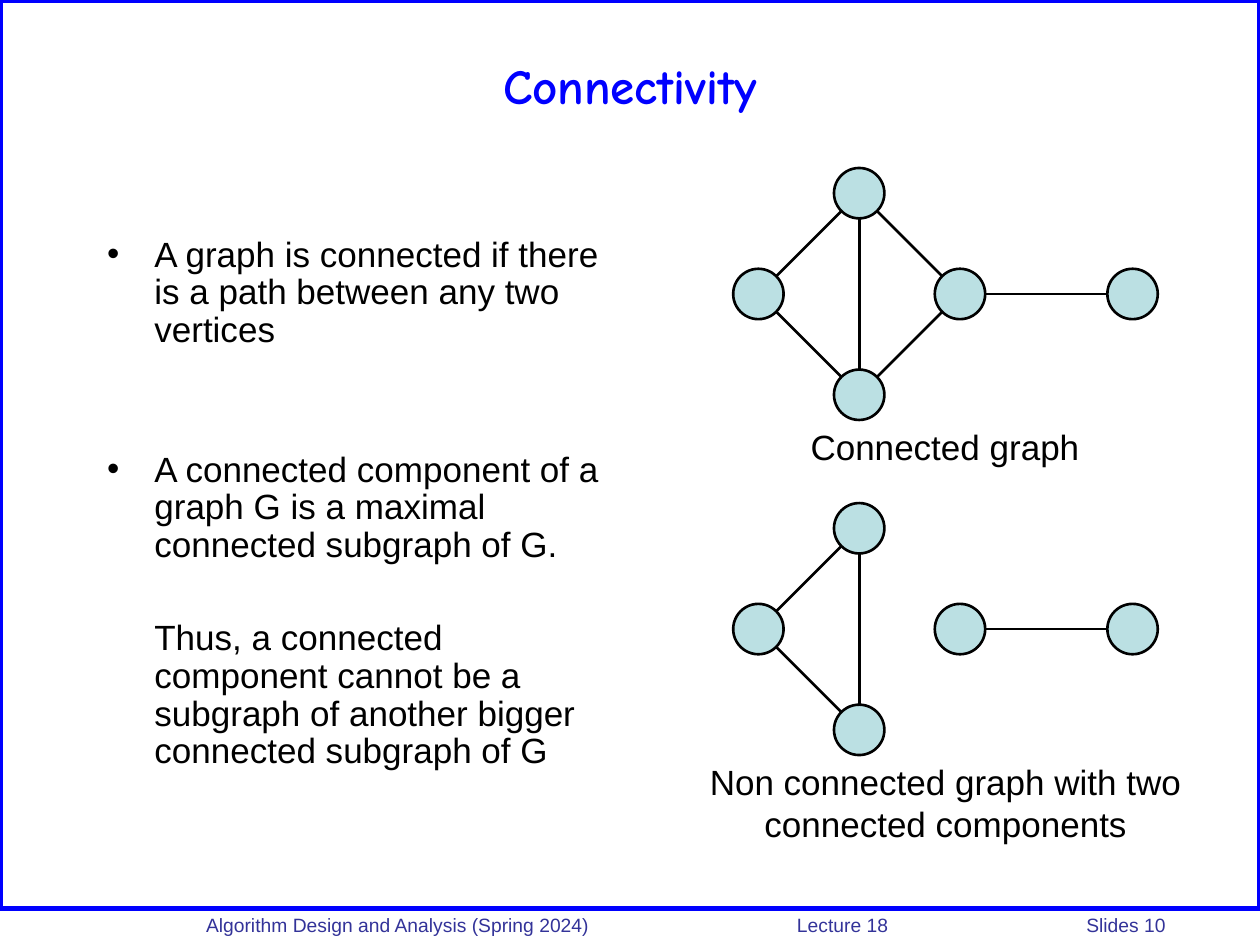
from math import hypot

from lxml import etree
from pptx import Presentation
from pptx.dml.color import RGBColor
from pptx.enum.shapes import MSO_CONNECTOR, MSO_SHAPE
from pptx.enum.text import MSO_ANCHOR, MSO_AUTO_SIZE, PP_ALIGN
from pptx.oxml.ns import qn
from pptx.util import Pt

BLUE = RGBColor(0x00, 0x00, 0xFF)
NAVY = RGBColor(0x33, 0x33, 0x99)
BLACK = RGBColor(0x00, 0x00, 0x00)
TEAL = RGBColor(0xBB, 0xE0, 0xE3)

RECTANGLE, ELLIPSE = MSO_SHAPE.RECTANGLE, MSO_SHAPE.OVAL
STRAIGHT = MSO_CONNECTOR.STRAIGHT
CENTER = PP_ALIGN.CENTER
MIDDLE, TOP = MSO_ANCHOR.MIDDLE, MSO_ANCHOR.TOP
NO_AUTOFIT = MSO_AUTO_SIZE.NONE

RADIUS = 14.4
STEP = 57.6
NODES = {
    "right": (STEP, 0),
    "left": (-STEP, 0),
    "top": (0, -STEP),
    "bottom": (0, STEP),
    "far": (156.2, 0),
}
SPLIT_EDGES = [("top", "left"), ("bottom", "left"), ("top", "bottom"),
               ("right", "far")]
CONNECTED_EDGES = SPLIT_EDGES + [("bottom", "right"), ("top", "right")]

# Wording, bulleted or not, space before
POINTS = [
    ("A graph is connected if there is a path between any two vertices",
     True, 0),
    ("A connected component of a graph G is a maximal connected subgraph of G.",
     True, 58),
    ("Thus, a connected component cannot be a subgraph of another bigger "
     "connected subgraph of G", False, 31.5),
]


def place(shape, left, top, width, height):
    shape.left, shape.top = Pt(left), Pt(top)
    shape.width, shape.height = Pt(width), Pt(height)


def style_runs(para, size, color, name="Arial", bold=False):
    for span in para.runs:
        span.font.size = Pt(size)
        span.font.name = name
        span.font.bold = bold
        span.font.color.rgb = color


def add_title(page, text):
    title = page.shapes.title
    place(title, 36, 12.24, 648, 72)
    frame = title.text_frame
    frame.text = text
    frame.auto_size = NO_AUTOFIT
    frame.vertical_anchor = MIDDLE
    para = frame.paragraphs[0]
    para.alignment = CENTER
    style_runs(para, 28, BLUE, "Comic Neue", True)


def set_bullet(para, bulleted):
    props = para._p.get_or_add_pPr()
    props.set("marL", str(Pt(27)))
    props.set("indent", str(Pt(-27 if bulleted else 0)))
    if bulleted:
        etree.SubElement(props, qn("a:buChar")).set("char", "•")
    else:
        etree.SubElement(props, qn("a:buNone"))


def add_points(page):
    body = page.placeholders[1]
    place(body, 54, 131.76, 300.24, 347.76)
    frame = body.text_frame
    frame.text = "\n".join(text for text, _, _ in POINTS)
    frame.auto_size = NO_AUTOFIT
    frame.vertical_anchor = TOP
    for para, (_, bulleted, gap) in zip(frame.paragraphs, POINTS):
        set_bullet(para, bulleted)
        para.line_spacing = 0.9
        para.space_before = Pt(gap)
        style_runs(para, 20, BLACK)


def add_text(page, text, left, top, width, height, size, color):
    box = page.shapes.add_textbox(Pt(left), Pt(top), Pt(width), Pt(height))
    box.text_frame.word_wrap = True
    box.text_frame.text = text
    style_runs(box.text_frame.paragraphs[0], size, color)
    return box.text_frame


def add_caption(page, text, left, top, width, height):
    frame = add_text(page, text, left, top, width, height, 20, BLACK)
    frame.paragraphs[0].alignment = CENTER


def add_footer(page):
    text = "Algorithm Design and Analysis (Spring 2024)\tLecture 18\tSlides 10"
    frame = add_text(page, text, 95.76, 518.4, 624.24, 18.72, 11, NAVY)
    frame.margin_left = Pt(22)
    props = frame.paragraphs[0]._p.get_or_add_pPr()
    tabs = etree.SubElement(props, qn("a:tabLst"))
    for position in (337.7, 503):
        tab = etree.SubElement(tabs, qn("a:tab"))
        tab.set("pos", str(Pt(position)))
        tab.set("algn", "l")


def add_frame(page):
    border = page.shapes.add_shape(RECTANGLE, 0, 0, Pt(720), Pt(519.12))
    border.shadow.inherit = False
    border.fill.background()
    border.line.color.rgb = BLUE
    border.line.width = Pt(3)


def add_node(group, x, y):
    node = group.shapes.add_shape(ELLIPSE, Pt(x - RADIUS), Pt(y - RADIUS),
                                  Pt(2 * RADIUS), Pt(2 * RADIUS))
    node.shadow.inherit = False
    node.fill.solid()
    node.fill.fore_color.rgb = TEAL
    node.line.color.rgb = BLACK
    node.line.width = Pt(1.5)


def add_edge(group, start, end):
    """Join the rims of the nodes centred on start and end."""
    across, down = end[0] - start[0], end[1] - start[1]
    ratio = RADIUS / hypot(across, down)
    trim_x, trim_y = across * ratio, down * ratio
    edge = group.shapes.add_connector(
        STRAIGHT, Pt(start[0] + trim_x), Pt(start[1] + trim_y),
        Pt(end[0] - trim_x), Pt(end[1] - trim_y))
    edge.line.color.rgb = BLACK
    edge.line.width = Pt(1.5)
    etree.SubElement(edge._element.spPr, qn("a:effectLst"))


def add_graph(page, center_x, center_y, edges):
    group = page.shapes.add_group_shape()
    centers = {name: (center_x + x, center_y + y)
               for name, (x, y) in NODES.items()}
    for x, y in centers.values():
        add_node(group, x, y)
    for start, end in edges:
        add_edge(group, centers[start], centers[end])


def main():
    deck = Presentation()
    deck.slide_width, deck.slide_height = Pt(720), Pt(540)
    page = deck.slides.add_slide(deck.slide_layouts[1])

    # Border and footer
    add_frame(page)
    add_footer(page)

    # Title and definitions
    add_title(page, "Connectivity")
    add_points(page)

    # Example graphs with captions
    add_graph(page, 491, 168, CONNECTED_EDGES)
    add_caption(page, "Connected graph", 427.68, 239.76, 224.64, 31.68)
    add_graph(page, 491, 359.5, SPLIT_EDGES)
    add_caption(page, "Non connected graph with two connected components",
                396.72, 431.28, 287.28, 55.44)

    deck.save("out.pptx")


if __name__ == "__main__":
    main()
